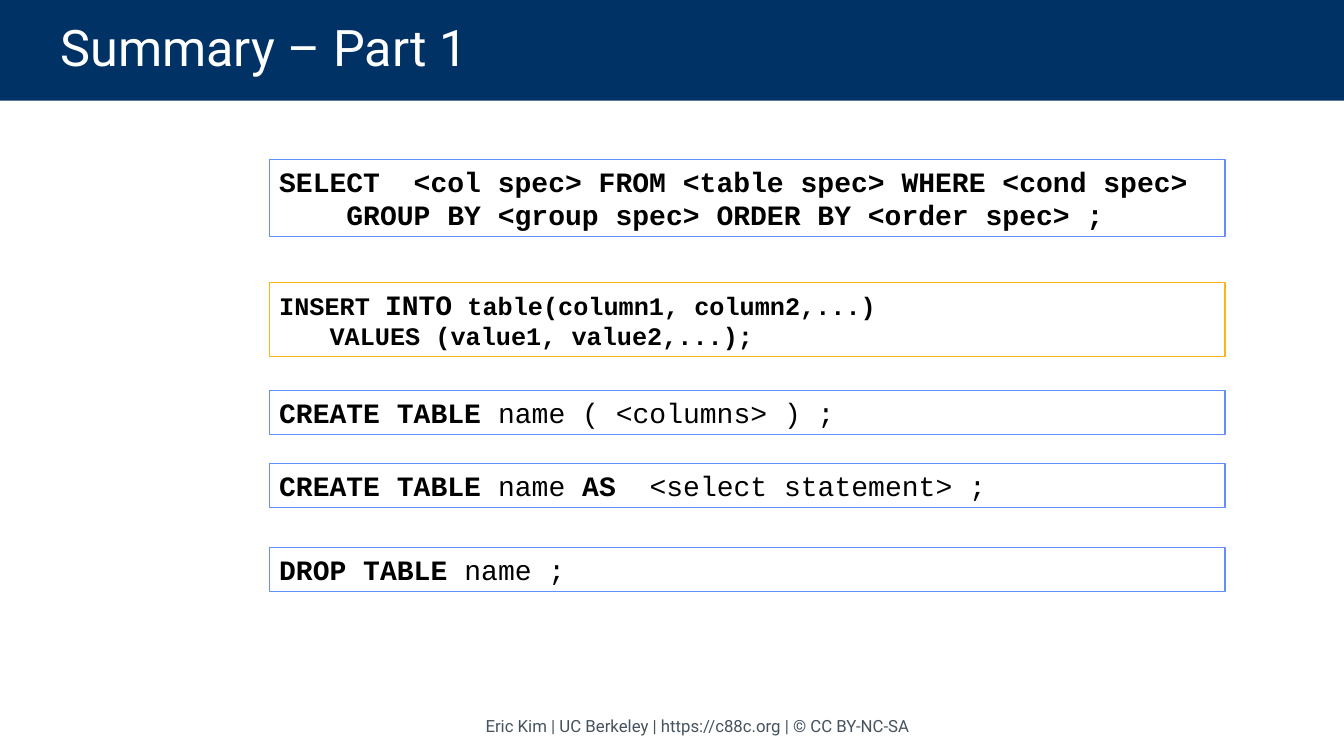
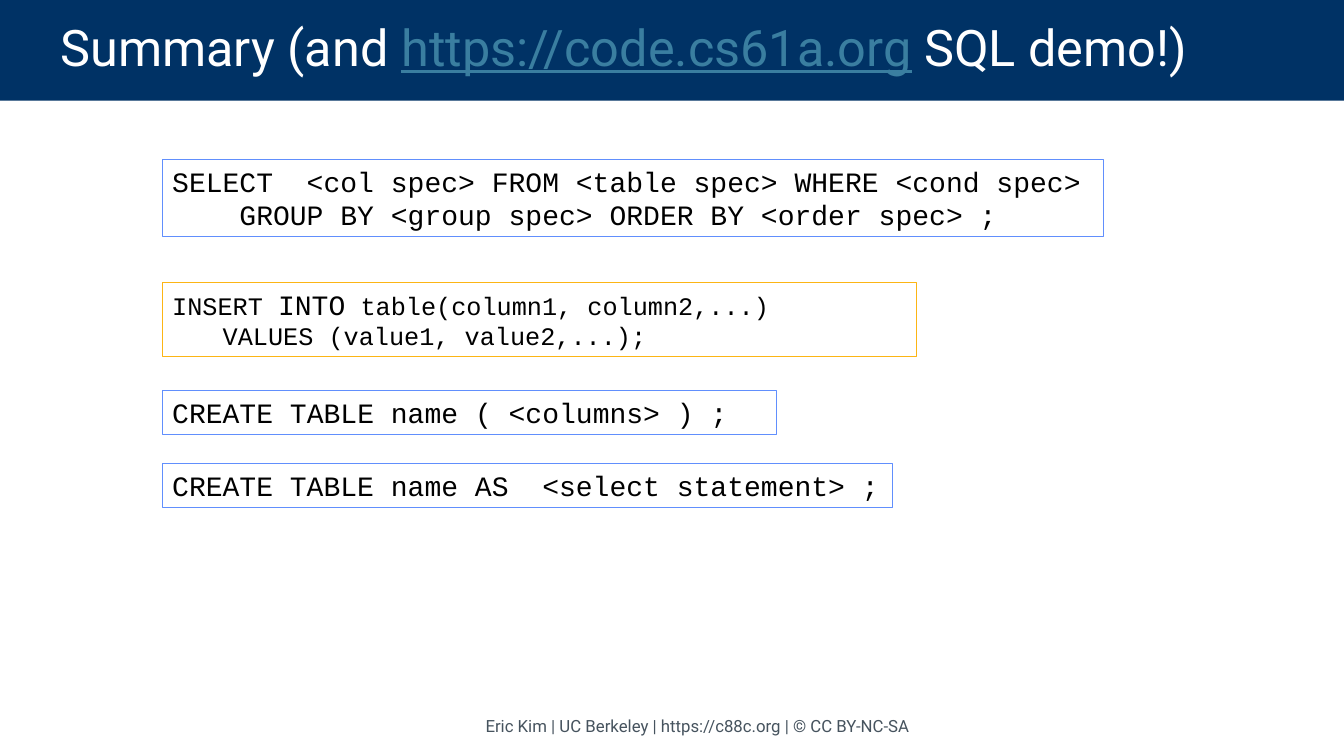
"""Build the two SQL summary slides."""
from pptx import Presentation
from pptx.dml.color import RGBColor as RGB
from pptx.enum.shapes import MSO_SHAPE as Shape
from pptx.enum.text import MSO_ANCHOR as Anchor, PP_ALIGN as Align
from pptx.util import Inches, Pt

NAVY = RGB(0x00, 0x32, 0x65)
BLUE = RGB(0x61, 0x8F, 0xFD)
GOLD = RGB(0xFC, 0xB5, 0x15)
TEAL = RGB(0x3A, 0x7E, 0xA0)
SLATE = RGB(0x46, 0x53, 0x5E)
WHITE = RGB(0xFF, 0xFF, 0xFF)
BLACK = RGB(0x00, 0x00, 0x00)

TITLE = {"name": "Roboto", "size": Pt(36), "color": WHITE}
FOOT = {"name": "Roboto", "size": Pt(12), "color": SLATE}
CODE = {"name": "Courier New", "size": Pt(20), "color": BLACK}
LINK = {"color": TEAL, "underline": True}
KEY = {"bold": True}
SMALL = {"bold": True, "size": Pt(18)}

CREDIT = "Eric Kim | UC Berkeley | https://c88c.org | © CC BY-NC-SA"
QUERIES = [
    (1.58, 0.77, BLUE, [
        [("SELECT  <col spec> FROM <table spec> WHERE <cond spec>", KEY)],
        [("    GROUP BY <group spec> ORDER BY <order spec> ;", KEY)]]),
    (2.8, 0.74, GOLD, [
        [("INSERT ", SMALL), ("INTO", KEY),
         (" table(column1, column2,...)", SMALL)],
        [("\tVALUES (value1, value2,...);", SMALL)]]),
    (3.87, 0.44, BLUE, [
        [("CREATE TABLE ", KEY), ("name ( <columns> ) ;", {})]]),
    (4.6, 0.44, BLUE, [
        [("CREATE TABLE ", KEY), ("name ", {}), ("AS", KEY),
         ("  <select statement> ;", {})]]),
    (5.43, 0.44, BLUE, [
        [("DROP TABLE ", KEY), ("name ;", {})]]),
]


class Deck:
    def __init__(self):
        self.file = Presentation()
        self.file.slide_width = Inches(13.33)
        self.file.slide_height = Inches(7.5)

    def start(self, title):
        layout = self.file.slide_layouts[6]
        self.slide = self.file.slides.add_slide(layout)
        self.band(title)
        self.foot()

    def label(self, shape, lines, base, align=Align.LEFT, **frame):
        text = shape.text_frame
        frame = {"word_wrap": True, "vertical_anchor": Anchor.TOP, **frame}
        for key, value in frame.items():
            setattr(text, key, value)
        for i, line in enumerate(lines):
            para = text.add_paragraph() if i else text.paragraphs[0]
            para.alignment = align
            for words, extra in line:
                run = para.add_run()
                run.text = words
                for key, value in {**base, **extra}.items():
                    if key == "color":
                        run.font.color.rgb = value
                    else:
                        setattr(run.font, key, value)
        return text

    def rect(self, left, top, width, height):
        box = self.slide.shapes.add_shape(
            Shape.RECTANGLE, Inches(left), Inches(top),
            Inches(width), Inches(height))
        box.shadow.inherit = False
        return box

    def band(self, title):
        box = self.rect(0, 0, 13.33, 1)
        box.fill.solid()
        box.fill.fore_color.rgb = NAVY
        box.line.fill.background()
        text = self.label(box, [title], TITLE, vertical_anchor=Anchor.MIDDLE,
                          margin_left=Inches(0.6), margin_right=Inches(1))
        text.paragraphs[0].line_spacing = 0.9

    def foot(self):
        box = self.slide.shapes.add_textbox(
            Inches(4.42), Inches(7.04), Inches(5), Inches(0.33))
        self.label(box, [[(CREDIT, {})]], FOOT, Align.CENTER,
                   vertical_anchor=Anchor.MIDDLE)

    def query(self, left, width, top, height, color, lines, strong):
        box = self.rect(left, top, width, height)
        box.fill.background()
        box.line.color.rgb = color
        box.line.width = Pt(0.75)
        if not strong:
            lines = [[(words, {**extra, "bold": False})
                      for words, extra in line] for line in lines]
        self.label(box, lines, CODE)

    def queries(self, left, widths, strong):
        for width, query in zip(widths, QUERIES):
            self.query(left, width, *query, strong)


def main():
    deck = Deck()
    deck.start([("Summary – Part 1", {})])
    deck.queries(2.67, [9.48] * len(QUERIES), True)
    deck.start([("Summary (and ", {}), ("https://code.cs61a.org", LINK),
                (" SQL demo!)", {})])
    deck.queries(1.61, [9.34, 7.48, 6.09, 7.24], False)
    deck.file.save("out.pptx")


if __name__ == "__main__":
    main()
